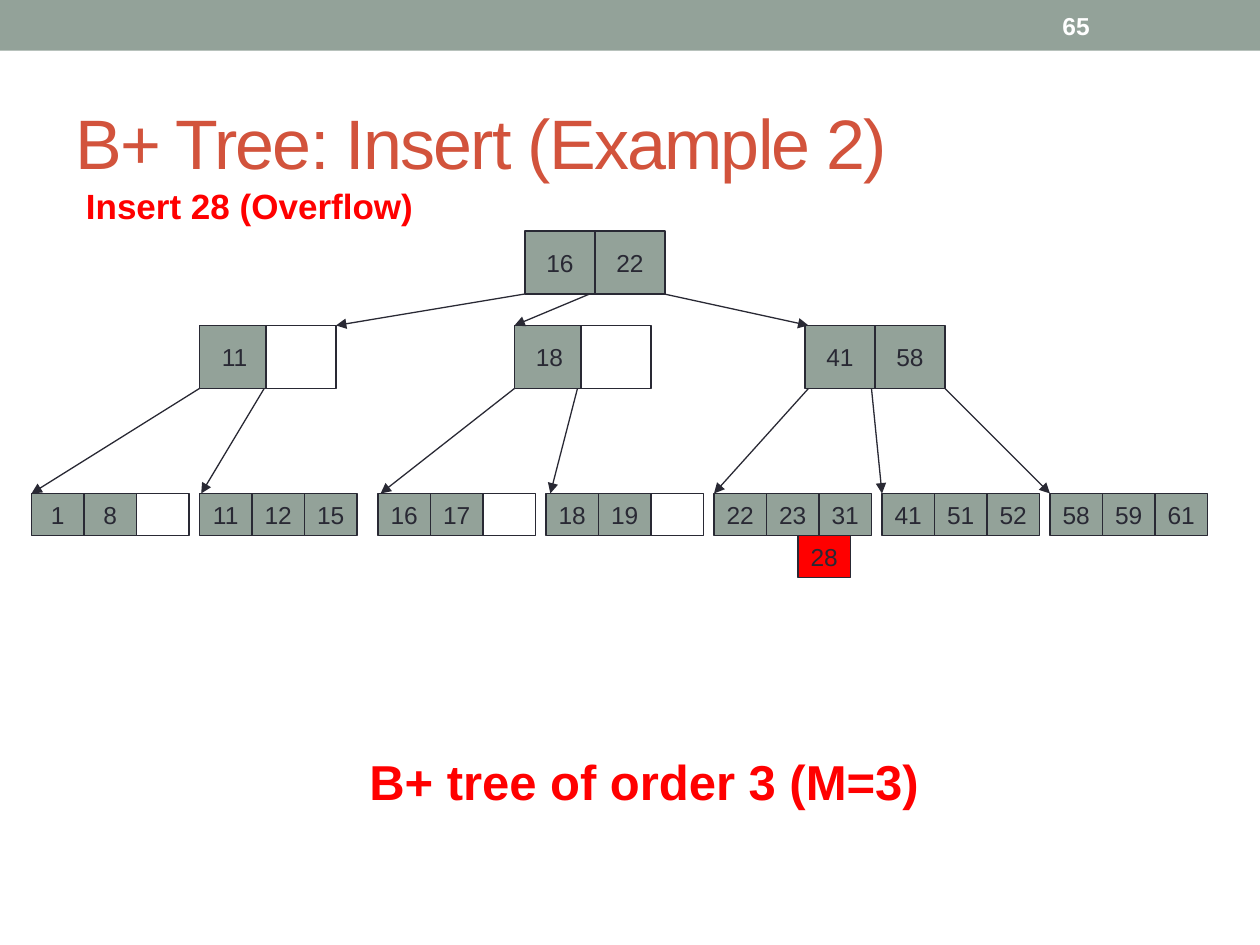
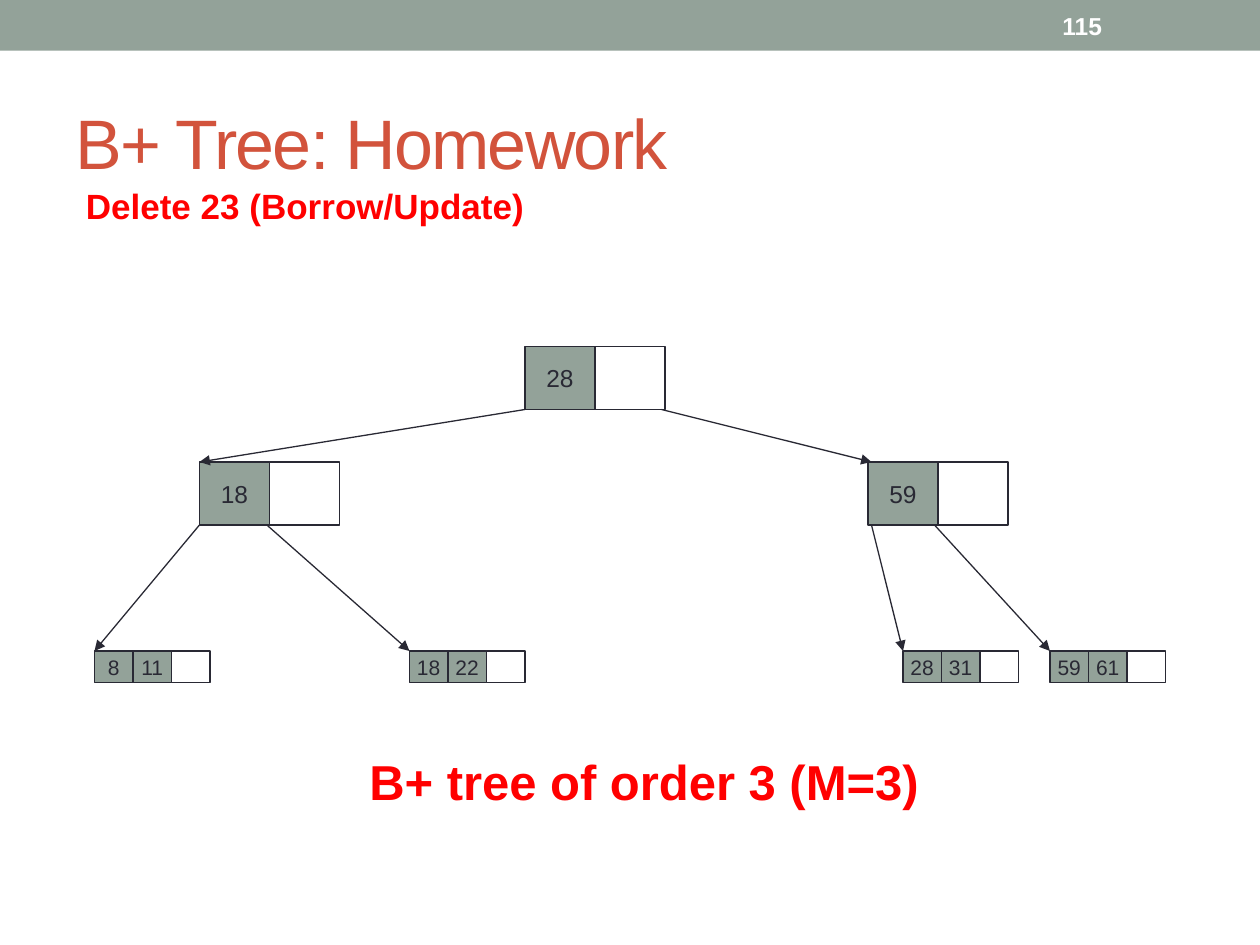
from lxml.etree import SubElement
from pptx import Presentation
from pptx.dml.color import RGBColor
from pptx.enum.shapes import MSO_CONNECTOR as Connector, MSO_SHAPE as Shape
from pptx.enum.text import MSO_ANCHOR as Anchor, PP_ALIGN as Align
from pptx.oxml.ns import qn
from pptx.util import Pt

EMU_PER_PX = 6350
SAGE, INK, WHITE, RED, RUST = "93A299", "292934", "FFFFFF", "FF0000", "D2533C"
FONT = "Arial"
TITLE = {"size": Pt(40)}
NUMBER = {"size": Pt(14), "bold": True}
STEP = {"size": Pt(20), "bold": True}
CAPTION = {"size": Pt(28), "bold": True}
KEY = {"size": Pt(14)}
SMALL_KEY = {"size": Pt(12)}

INNER = {"width": 80, "height": 72, "pitch": 80, "style": KEY}
TIGHT_INNER = {**INNER, "pitch": 76}
LEAF = {"width": 60, "height": 48, "pitch": 60, "style": KEY}
SMALL_LEAF = {"width": 44, "height": 36, "pitch": 44, "style": SMALL_KEY}

INSERT_NODES = [
    (600, 264, ["16", "22"], INNER),
    (228, 372, ["11", ""], TIGHT_INNER),
    (588, 372, ["18", ""], TIGHT_INNER),
    (920, 372, ["41", "58"], INNER),
    (36, 564, ["1", "8", ""], LEAF),
    (228, 564, ["11", "12", "15"], LEAF),
    (432, 564, ["16", "17", ""], LEAF),
    (624, 564, ["18", "19", ""], LEAF),
    (816, 564, ["22", "23", "31"], LEAF),
    (1008, 564, ["41", "51", "52"], LEAF),
    (1200, 564, ["58", "59", "61"], LEAF),
]
INSERT_LEVELS = [
    (336, 372, [(600, 384), (674, 588), (759, 924)]),
    (444, 564, [(228, 36), (302, 230), (588, 435), (660, 629),
                (924, 816), (996, 1008), (1080, 1200)]),
]
DELETE_NODES = [
    (600, 396, ["28", ""], INNER),
    (228, 528, ["18", ""], INNER),
    (992, 528, ["59", ""], INNER),
    (108, 744, ["8", "11", ""], SMALL_LEAF),
    (468, 744, ["18", "22", ""], SMALL_LEAF),
    (1032, 744, ["28", "31", ""], SMALL_LEAF),
    (1200, 744, ["59", "61", ""], SMALL_LEAF),
]
DELETE_LEVELS = [
    (468, 528, [(600, 228), (756, 996)]),
    (600, 744, [(228, 108), (305, 468), (996, 1032), (1068, 1200)]),
]


def px(*lengths):
    """Turn pixel lengths into EMU."""
    return [length * EMU_PER_PX for length in lengths]


def color(value):
    """Return the colour for a hex string."""
    return RGBColor.from_string(value)


def write(shape, text, style, ink, wrap=False):
    """Put one formatted line of text in a shape and return its run."""
    frame = shape.text_frame
    frame.word_wrap = wrap
    run = frame.paragraphs[0].add_run()
    run.text = text
    for name, value in {"name": FONT, **style}.items():
        setattr(run.font, name, value)
    run.font.color.rgb = color(ink)
    return run


def add_label(slide, box, text, style, ink, anchor=Anchor.TOP, wrap=False):
    """Add a text box and return its run."""
    label = slide.shapes.add_textbox(*px(*box))
    label.text_frame.vertical_anchor = anchor
    return write(label, text, style, ink, wrap)


def add_box(shapes, box, fill, outlined=True):
    """Add a flat rectangle, outlined if wanted."""
    shape = shapes.add_shape(Shape.RECTANGLE, *px(*box))
    shape.shadow.inherit = False
    shape.fill.solid()
    shape.fill.fore_color.rgb = color(fill)
    if outlined:
        shape.line.color.rgb = color(INK)
        shape.line.width = Pt(0.75)
    else:
        shape.line.fill.background()
    return shape


def add_key(shapes, box, key, style, fill=SAGE):
    """Add one key cell, white when it holds no key."""
    cell = add_box(shapes, box, fill if key else WHITE)
    if key:
        write(cell, key, style, INK)
        cell.text_frame.vertical_anchor = Anchor.MIDDLE
        cell.text_frame.paragraphs[0].alignment = Align.CENTER


def add_node(slide, left, top, keys, kind):
    """Add a tree node as a group of key cells."""
    group = slide.shapes.add_group_shape()
    for index, key in enumerate(keys):
        box = (left + index * kind["pitch"], top, kind["width"], kind["height"])
        add_key(group.shapes, box, key, kind["style"])


def add_pointer(slide, start, end):
    """Add an arrow from a node to its child."""
    arrow = slide.shapes.add_connector(Connector.STRAIGHT, *px(*start, *end))
    arrow.line.color.rgb = color(INK)
    arrow.line.width = Pt(0.75)
    SubElement(arrow.line._get_or_add_ln(), qn("a:tailEnd"), type="triangle")
    SubElement(arrow._element.spPr, qn("a:effectLst"))


def add_tree(slide, nodes, levels):
    """Add the nodes and the pointers between their levels."""
    for node in nodes:
        add_node(slide, *node)
    for bottom, top, pointers in levels:
        for start, end in pointers:
            add_pointer(slide, (start, bottom), (end, top))


def add_tree_slide(presentation, number, title, step, step_width):
    """Add a slide with the band, number, title, step and caption."""
    slide = presentation.slides.add_slide(presentation.slide_layouts[6])
    add_box(slide.shapes, (0, 0, 1440, 58), SAGE, outlined=False)
    run = add_label(slide, (72, 84, 1296, 156), title, TITLE, RUST, Anchor.MIDDLE, True)
    run._r.get_or_add_rPr().set("spc", "-100")
    add_label(slide, (1200, 3, 168, 52), number, NUMBER, WHITE, Anchor.MIDDLE, True)
    add_label(slide, (84, 204, step_width, 63), step, STEP, RED)
    add_label(slide, (408, 852, 710, 82), "B+ tree of order 3 (M=3)", CAPTION, RED)
    return slide


def main():
    """Build and save the presentation."""
    presentation = Presentation()
    presentation.slide_width, presentation.slide_height = px(1440, 1080)
    slide = add_tree_slide(
        presentation, "65", "B+ Tree: Insert (Example 2)", "Insert 28 (Overflow)", 418)
    add_tree(slide, INSERT_NODES, INSERT_LEVELS)
    add_key(slide.shapes, (912, 612, 60, 48), "28", KEY, RED)
    slide = add_tree_slide(
        presentation, "115", "B+ Tree: Homework", "Delete 23 (Borrow/Update)", 553)
    add_tree(slide, DELETE_NODES, DELETE_LEVELS)
    presentation.save("out.pptx")


if __name__ == "__main__":
    main()
